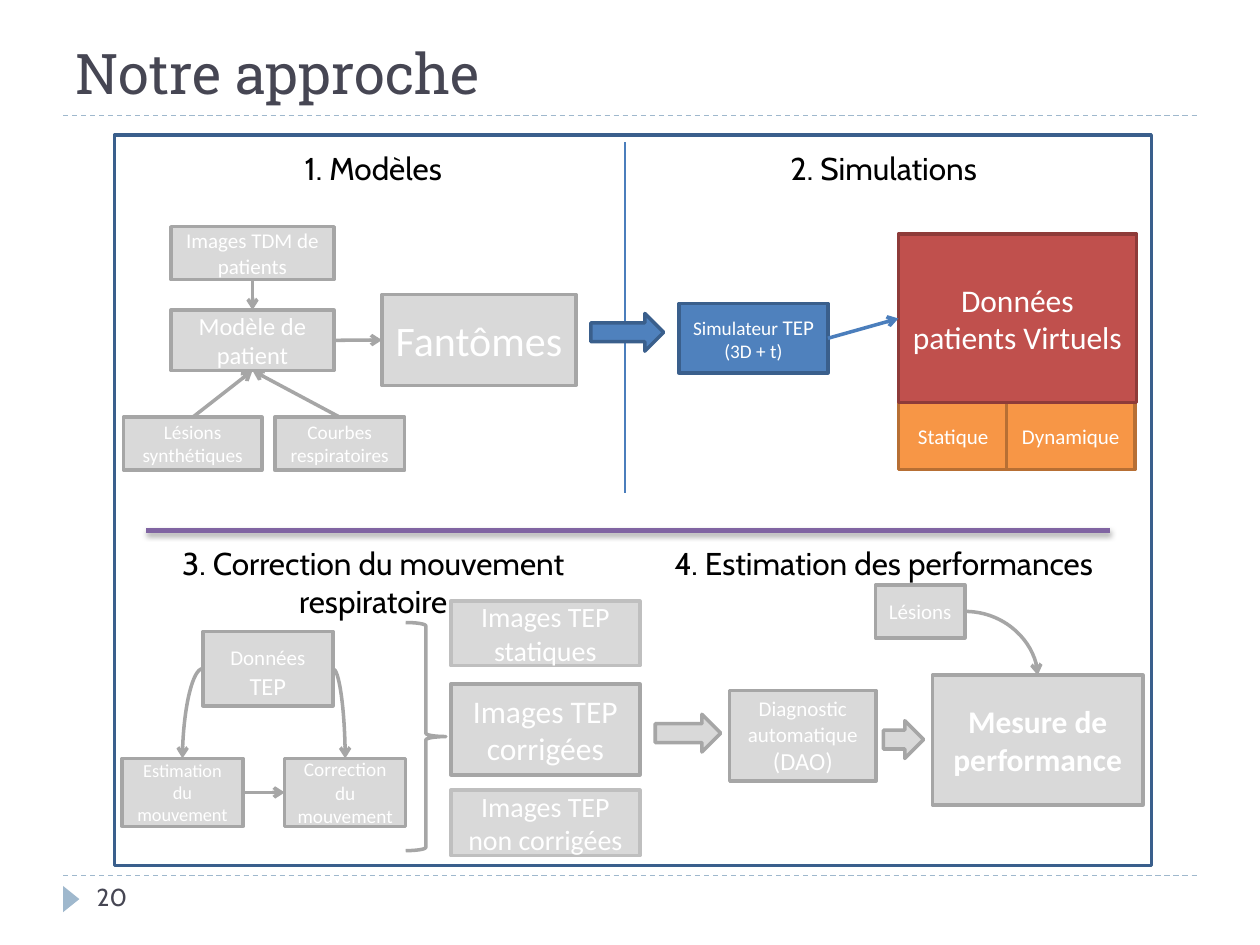
"""Build the slide that sums up the four steps of the approach."""
from dataclasses import dataclass

from lxml import etree
from pptx import Presentation
from pptx import util as u
from pptx.dml.color import RGBColor
from pptx.enum import dml, shapes, text
from pptx.oxml import ns

SHAPE = shapes.MSO_SHAPE
TOP, LEFT, BOTTOM, RIGHT = range(4)


@dataclass(frozen=True)
class Style:
    fill: str | None
    line: str | None


@dataclass(frozen=True)
class Box:
    area: tuple
    style: Style
    paragraphs: tuple = ()
    bold: bool = False
    preset: SHAPE = SHAPE.RECTANGLE


@dataclass(frozen=True)
class Link:
    start: str
    start_side: int
    end: str
    end_side: int
    curved: bool = False


@dataclass(frozen=True)
class Rule:
    start: tuple
    end: tuple
    color: str
    width: float
    dashed: bool = False
    shadow: bool = False


@dataclass(frozen=True)
class Label:
    content: str
    area: tuple
    size: float
    color: str
    font: str = "Cabin"
    align: text.PP_ALIGN = text.PP_ALIGN.LEFT
    anchor: text.MSO_ANCHOR = text.MSO_ANCHOR.TOP
    fit: text.MSO_AUTO_SIZE = text.MSO_AUTO_SIZE.NONE


GREY = Style("D9D9D9", "A6A6A6")
PALE = Style("D9D9D9", "BFBFBF")
BLUE = Style("4F81BD", "3A5F8C")
RED = Style("C0504D", "8E3B39")
ORANGE = Style("F79646", "B76F34")
ACCENT, INK, SKY = "4B7EBC", "464653", "9FB8CD"


def one(content: str, size: float) -> tuple:
    return (((content, size),),)


BOXES = {
    "tdm": Box((3.45, 4.57, 3.28, 1.07), GREY, one("Images TDM de patients", 12)),
    "modele": Box((3.45, 6.25, 3.28, 1.22), GREY, one("Modèle de patient", 14)),
    "fantomes": Box((7.7, 5.94, 3.91, 1.83), GREY, one("Fantômes", 24)),
    "synthetiques": Box((2.49, 8.41, 2.79, 1.07), GREY,
                        one("Lésions", 11) + one("synthétiques", 11)),
    "courbes": Box((5.54, 8.41, 2.62, 1.07), GREY, one("Courbes respiratoires", 11)),
    "estimation": Box((2.46, 15.29, 2.44, 1.37), GREY, one("Estimation du mouvement", 10.5)),
    "correction": Box((5.74, 15.29, 2.44, 1.37), GREY, one("Correction du mouvement", 11)),
    "statique": Box((18.11, 8.1, 2.21, 1.37), ORANGE, one("Statique", 12)),
    "dynamique": Box((20.29, 8.1, 2.59, 1.37), ORANGE, one("Dynamique", 12)),
    "diagnostic": Box((14.71, 13.92, 2.95, 1.83), GREY,
                      one("Diagnostic automatique", 12) + one("(DAO)", 14)),
    "mesure": Box((18.8, 13.61, 4.24, 2.62), GREY, one("Mesure de performance", 18), True),
    "donnees": Box((4.09, 12.73, 2.62, 1.5), GREY,
                   ((("Données", 12), (" ", 16), ("TEP", 14)),)),
    "corrigees": Box((9.09, 13.79, 3.81, 1.83), GREY, one("Images TEP corrigées", 18)),
    "lesions": Box((17.65, 11.79, 1.8, 1.07), GREY, one("Lésions", 12)),
    "simulateur": Box((13.69, 6.12, 3, 1.4), BLUE,
                      ((("Simulateur ", 11), ("TEP", 12)), (("(3D + t)", 11),))),
    "virtuels": Box((18.11, 4.72, 4.8, 3.4), RED, one("Données patients Virtuels", 18)),
    "statiques": Box((9.09, 12.12, 3.81, 1.3), PALE, one("Images TEP statiques", 16)),
    "non_corrigees": Box((9.09, 15.93, 3.81, 1.32), PALE, one("Images TEP non corrigées", 16)),
    "vers_simulation": Box((11.91, 6.32, 1.47, 0.76), BLUE, preset=SHAPE.RIGHT_ARROW),
    "vers_diagnostic": Box((13.21, 14.4, 1.32, 0.76), GREY, preset=SHAPE.RIGHT_ARROW),
    "vers_mesure": Box((17.81, 14.53, 0.81, 0.76), GREY, preset=SHAPE.RIGHT_ARROW),
    "accolade": Box((8.18, 12.55, 0.81, 4.6), Style(None, GREY.line), preset=SHAPE.RIGHT_BRACE),
    "cadre": Box((2.31, 2.72, 20.9, 14.73), Style(None, BLUE.line)),
}
LINKS = (
    Link("tdm", BOTTOM, "modele", TOP),
    Link("synthetiques", TOP, "modele", BOTTOM),
    Link("courbes", TOP, "modele", BOTTOM),
    Link("modele", RIGHT, "fantomes", LEFT),
    Link("simulateur", RIGHT, "virtuels", LEFT),
    Link("estimation", RIGHT, "correction", LEFT),
    Link("donnees", LEFT, "estimation", TOP, True),
    Link("donnees", RIGHT, "correction", TOP, True),
    Link("lesions", RIGHT, "mesure", TOP, True),
)
RULES = (
    Rule((1.27, 17.65), (24.13, 17.65), SKY, 0.75, dashed=True),
    Rule((1.27, 2.33), (24.13, 2.33), SKY, 0.75, dashed=True),
    Rule((12.6, 2.87), (12.6, 9.93), ACCENT, 0.75),
    Rule((2.95, 10.69), (22.38, 10.69), "8064A2", 3, shadow=True),
)
STEPS = ("1. Modèles", "2. Simulations", "3. Correction du mouvement respiratoire",
         "4. Estimation des performances")
LABELS = (
    Label("Notre approche", (1.27, -0.48, 22.86, 2.74), 32, INK, "Roboto Slab",
          anchor=text.MSO_ANCHOR.BOTTOM),
    Label("20", (1.7, 17.65, 5.51, 1.02), 14, INK),
) + tuple(
    Label(step, (2.79 + 10.29 * (i % 2), 2.87 + 7.98 * (i // 2), 9.47, 0.79), 18, "000000",
          align=text.PP_ALIGN.CENTER, fit=text.MSO_AUTO_SIZE.SHAPE_TO_FIT_TEXT)
    for i, step in enumerate(STEPS)
)


def cm(values: tuple) -> list:
    return [u.Cm(value) for value in values]


def paint(color_format, color: str) -> None:
    color_format.rgb = RGBColor.from_string(color)


def apply(target, values: dict) -> None:
    for name, value in values.items():
        setattr(target, name, value)


def add_run(paragraph, content: str, color: str, values: dict) -> None:
    run = paragraph.add_run()
    run.text = content
    apply(run.font, values)
    paint(run.font.color, color)


def draw_box(slide, box: Box):
    shape = slide.shapes.add_shape(box.preset, *cm(box.area))
    shape.shadow.inherit = False
    for fill, color in ((shape.fill, box.style.fill), (shape.line.fill, box.style.line)):
        if color:
            fill.solid()
            paint(fill.fore_color, color)
        else:
            fill.background()
    shape.line.width = u.Pt(2)
    frame = shape.text_frame
    apply(frame, {"word_wrap": True, "vertical_anchor": text.MSO_ANCHOR.MIDDLE})
    for index, runs in enumerate(box.paragraphs):
        paragraph = frame.add_paragraph() if index else frame.paragraphs[0]
        paragraph.alignment = text.PP_ALIGN.CENTER
        for content, size in runs:
            add_run(paragraph, content, "FFFFFF",
                    {"name": "Calibri", "size": u.Pt(size), "bold": box.bold})
    return shape


def draw_label(slide, label: Label) -> None:
    frame = slide.shapes.add_textbox(*cm(label.area)).text_frame
    apply(frame, {"word_wrap": True, "vertical_anchor": label.anchor, "auto_size": label.fit})
    frame.paragraphs[0].alignment = label.align
    add_run(frame.paragraphs[0], label.content, label.color,
            {"name": label.font, "size": u.Pt(label.size)})


def add_line(slide, kind, ends: tuple, color: str, width: float) -> tuple:
    connector = slide.shapes.add_connector(kind, *cm(ends))
    paint(connector.line.color, color)
    connector.line.width = u.Pt(width)
    effects = etree.SubElement(connector._element.spPr, ns.qn("a:effectLst"))
    return connector, effects


def draw_rule(slide, rule: Rule) -> None:
    connector, effects = add_line(slide, shapes.MSO_CONNECTOR.STRAIGHT,
                                  rule.start + rule.end, rule.color, rule.width)
    if rule.dashed:
        connector.line.dash_style = dml.MSO_LINE.DASH
    if rule.shadow:
        shadow = etree.SubElement(effects, ns.qn("a:outerShdw"), blurRad="40000",
                                  dist="23000", dir="5400000", rotWithShape="0")
        black = etree.SubElement(shadow, ns.qn("a:srgbClr"), val="000000")
        etree.SubElement(black, ns.qn("a:alpha"), val="35000")


def draw_link(slide, link: Link, drawn: dict) -> None:
    kind = shapes.MSO_CONNECTOR.CURVE if link.curved else shapes.MSO_CONNECTOR.STRAIGHT
    color = ACCENT if BOXES[link.start].style == BLUE else GREY.line
    connector, _ = add_line(slide, kind, (0, 0, 0, 0), color, 2)
    connector.begin_connect(drawn[link.start], link.start_side)
    connector.end_connect(drawn[link.end], link.end_side)
    if link.curved:
        connector._element.spPr.find(ns.qn("a:prstGeom")).set("prst", "curvedConnector2")
    etree.SubElement(connector.line._get_or_add_ln(), ns.qn("a:tailEnd"), type="arrow")


def main() -> None:
    deck = Presentation()
    apply(deck, {"slide_width": u.Cm(25.4), "slide_height": u.Cm(19.05)})
    slide = deck.slides.add_slide(deck.slide_layouts[6])
    for rule in RULES:
        draw_rule(slide, rule)
    marker = Box((1.17, 17.96, 0.53, 0.33), Style(SKY, None), preset=SHAPE.ISOSCELES_TRIANGLE)
    draw_box(slide, marker).rotation = 90
    for label in LABELS:
        draw_label(slide, label)
    drawn = {name: draw_box(slide, box) for name, box in BOXES.items()}
    for link in LINKS:
        draw_link(slide, link, drawn)
    deck.save("out.pptx")


if __name__ == "__main__":
    main()
